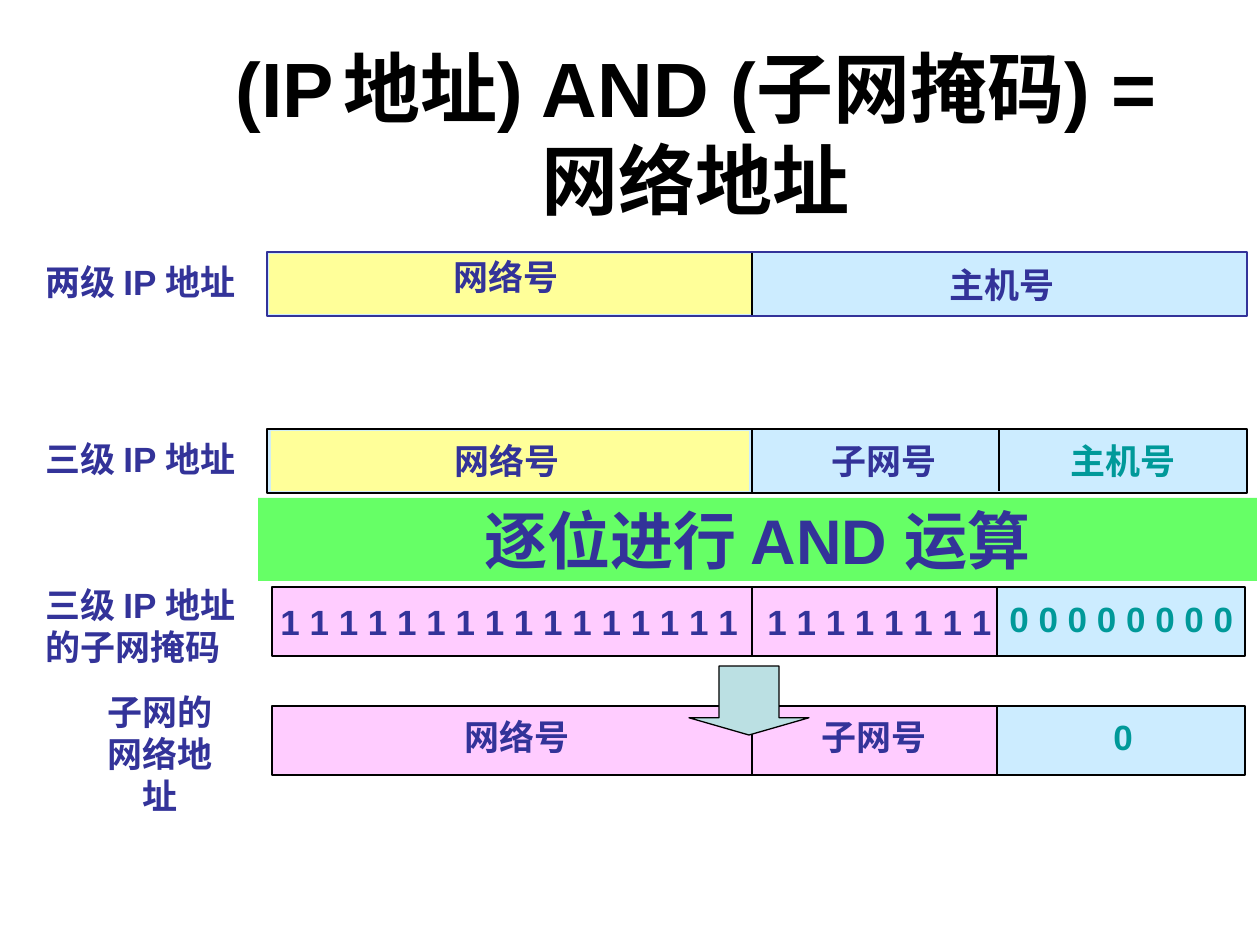
from lxml.etree import SubElement
from pptx import Presentation
from pptx.dml.color import RGBColor
from pptx.enum.shapes import MSO_CONNECTOR, MSO_SHAPE
from pptx.enum.text import MSO_ANCHOR, MSO_AUTO_SIZE, PP_ALIGN
from pptx.oxml.ns import qn
from pptx.util import Pt

BLACK = RGBColor(0x00, 0x00, 0x00)
NAVY = RGBColor(0x33, 0x33, 0x99)
TEAL = RGBColor(0x00, 0x99, 0x99)
YELLOW = RGBColor(0xFF, 0xFF, 0x99)
SKY = RGBColor(0xCC, 0xEC, 0xFF)
PINK = RGBColor(0xFF, 0xCC, 0xFF)
GREEN = RGBColor(0x66, 0xFF, 0x66)
PALE_TEAL = RGBColor(0xBB, 0xE0, 0xE3)

EMU_PER_INCH = 914400
PX_PER_INCH = 126
FONT = "Arial"


def emu(px):
    return round(px * EMU_PER_INCH / PX_PER_INCH)


class AddressPage:
    def __init__(self, deck):
        self.page = deck.slides.add_slide(deck.slide_layouts[6])

    def style(self, span, size, color):
        span.font.name = FONT
        span.font.size = Pt(size)
        span.font.bold = True
        span.font.color.rgb = color

    def title(self, x, y, width, height, lines):
        box = self.page.shapes.add_textbox(emu(x), emu(y), emu(width), emu(height))
        frame = box.text_frame
        frame.word_wrap = True
        frame.vertical_anchor = MSO_ANCHOR.BOTTOM
        para = frame.paragraphs[0]
        para.alignment = PP_ALIGN.CENTER
        for index, spans in enumerate(lines):
            if index:
                para.add_line_break()
            for text, size in spans:
                span = para.add_run()
                span.text = text
                self.style(span, size, BLACK)

    def set_text(self, frame, text, size, color, align):
        frame.text = text
        frame.word_wrap = False
        for para in frame.paragraphs:
            para.alignment = align
            for span in para.runs:
                self.style(span, size, color)

    def label(self, x, y, width, height, text, color=NAVY, align=PP_ALIGN.LEFT):
        box = self.page.shapes.add_textbox(emu(x), emu(y), emu(width), emu(height))
        self.set_text(box.text_frame, text, 20, color, align)
        box.text_frame.auto_size = MSO_AUTO_SIZE.SHAPE_TO_FIT_TEXT
        return box

    def tab_stop(self, box, x):
        for para in box.text_frame.paragraphs:
            tabs = SubElement(para._p.get_or_add_pPr(), qn("a:tabLst"))
            SubElement(tabs, qn("a:tab"), pos=str(emu(x)), algn="l")

    def shape(self, x, y, width, height, fill, line=None, weight=0.75,
              kind=MSO_SHAPE.RECTANGLE):
        shape = self.page.shapes.add_shape(
            kind, emu(x), emu(y), emu(width), emu(height))
        shape.shadow.inherit = False
        shape.fill.solid()
        shape.fill.fore_color.rgb = fill
        if line is None:
            shape.line.fill.background()
        else:
            shape.line.color.rgb = line
            shape.line.width = Pt(weight)
        return shape

    def banner(self, x, y, width, height, text):
        shape = self.shape(x, y, width, height, GREEN)
        shape.text_frame.vertical_anchor = MSO_ANCHOR.MIDDLE
        self.set_text(shape.text_frame, text, 36, NAVY, PP_ALIGN.CENTER)

    def divider(self, x, top, bottom):
        line = self.page.shapes.add_connector(
            MSO_CONNECTOR.STRAIGHT, emu(x), emu(top), emu(x), emu(bottom))
        line.line.color.rgb = BLACK
        line.line.width = Pt(1)
        SubElement(line._element.spPr, qn("a:effectLst"))


def main():
    deck = Presentation()
    deck.slide_width = emu(1260)
    deck.slide_height = emu(945)
    page = AddressPage(deck)
    network_end, subnet_end = 752, 999

    page.title(159, 29, 1074, 202, [
        [("(IP", 44), (" ", 20), ("地址) AND (子网掩码) =", 44)],
        [("网络地址", 44)],
    ])

    for top, outline, left, width in ((252, NAVY, 269, 482), (429, BLACK, 271, 478)):
        page.shape(267, top, 980, 64, SKY, outline, 1)
        page.shape(left, top + 2, width, 60, YELLOW)
        page.divider(network_end, top + 1, top + 63)
    page.divider(subnet_end, 429, 491)

    for top in (587, 706):
        page.shape(997, top, 248, 69, SKY, BLACK)
        page.shape(272, top, 725, 69, PINK, BLACK)
        page.divider(network_end, top, top + 69)

    for x, y, text, color in (
        (441, 249, "网络号", NAVY),
        (937, 257, "主机号", NAVY),
        (442, 433, "网络号", NAVY),
        (819, 433, "子网号", NAVY),
        (1058, 433, "主机号", TEAL),
        (452, 709, "网络号", NAVY),
        (809, 709, "子网号", NAVY),
    ):
        page.label(x, y, 130, 54, text, color)
    page.label(1101, 709, 44, 54, "0", TEAL)

    page.label(33, 254, 242, 54, "两级 IP 地址")
    page.label(33, 431, 242, 54, "三级 IP 地址")
    page.label(33, 577, 242, 96, "三级 IP 地址\n的子网掩码")
    page.label(78, 684, 165, 96, "子网的\n网络地址", align=PP_ALIGN.CENTER)

    octet = " ".join("1" * 8)
    mask = page.label(268, 594, 736, 54, f"{octet} {octet}\t{octet}")
    page.tab_stop(mask, 487)
    page.label(997, 591, 249, 54, " ".join("0" * 8), TEAL)

    page.banner(258, 498, 999, 83, "逐位进行 AND 运算")
    arrow = page.shape(689, 666, 120, 69, PALE_TEAL, BLACK, kind=MSO_SHAPE.DOWN_ARROW)
    arrow.adjustments[1] = 0.25

    deck.save("out.pptx")


if __name__ == "__main__":
    main()
